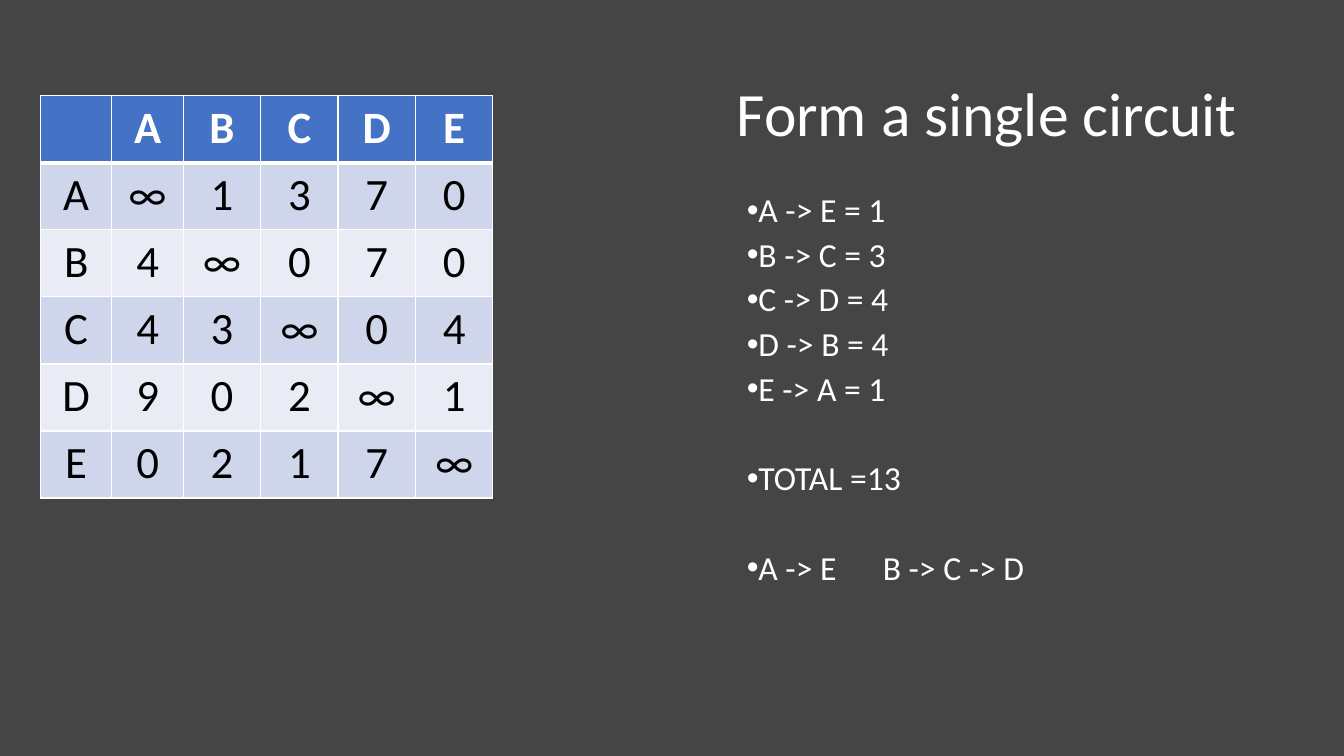
from dataclasses import dataclass

import lxml.etree
import pptx
import pptx.dml.color
import pptx.enum.text
import pptx.oxml.ns
import pptx.slide
import pptx.table
import pptx.text.text
import pptx.util

Cm = pptx.util.Cm
Pt = pptx.util.Pt


@dataclass(frozen=True)
class Theme:
    font: str = "Calibri"
    background: str = "454545"
    light: str = "FFFFFF"
    dark: str = "000000"
    header: str = "4472C4"
    bands: tuple[str, str] = ("CFD5EA", "E9EBF5")
    title_size: int = 44
    body_size: int = 24
    table_size: int = 32
    line_spacing: float = 0.9
    space_after: int = 6


@dataclass(frozen=True)
class Step:
    text: str
    space_before: int = 0
    tab_cm: float = 0


THEME = Theme()
GROUP_GAP = 32
NODES = "ABCDE"
COSTS = ("∞1370", "4∞070", "43∞04", "902∞1", "0217∞")
COLUMN_WIDTHS = (1.8, 1.8, 1.95, 1.95, 1.95, 1.95)
ROW_HEIGHT = 1.69
STEPS = (
    Step("A -> E = 1"),
    Step("B -> C = 3"),
    Step("C -> D = 4"),
    Step("D -> B = 4"),
    Step("E -> A = 1"),
    Step("TOTAL =13", GROUP_GAP),
    Step("A -> E\tB -> C -> D", GROUP_GAP, 3.43),
)


def rgb(colour: str) -> pptx.dml.color.RGBColor:
    return pptx.dml.color.RGBColor.from_string(colour)


def add_element(parent: lxml.etree._Element, tag: str, **attributes: str) -> lxml.etree._Element:
    return lxml.etree.SubElement(parent, pptx.oxml.ns.qn(tag), **attributes)


def add_span(para: pptx.text.text._Paragraph, text: str, size: int,
             colour: str = THEME.light, bold: bool = False) -> None:
    span = para.add_run()
    span.text = text
    span.font.name = THEME.font
    span.font.size = Pt(size)
    span.font.bold = bold
    span.font.color.rgb = rgb(colour)


def set_spacing(para: pptx.text.text._Paragraph, before: int = 0) -> None:
    para.line_spacing = THEME.line_spacing
    para.space_before = Pt(before)
    para.space_after = Pt(THEME.space_after)


def add_title(page: pptx.slide.Slide) -> None:
    title = page.shapes.title
    title.left, title.top = Cm(18.31), Cm(1.09)
    title.width, title.height = Cm(13.89), Cm(3.68)
    frame = title.text_frame
    frame.auto_size = pptx.enum.text.MSO_AUTO_SIZE.NONE
    frame.vertical_anchor = pptx.enum.text.MSO_ANCHOR.MIDDLE
    para = frame.paragraphs[0]
    para.alignment = pptx.enum.text.PP_ALIGN.LEFT
    set_spacing(para)
    add_span(para, "Form a single circuit", THEME.title_size)


def add_steps(page: pptx.slide.Slide) -> None:
    box = page.shapes.add_textbox(Cm(18.57), Cm(4.75), Cm(13.89), Cm(8.84))
    frame = box.text_frame
    frame.word_wrap = True
    for index, step in enumerate(STEPS):
        para = frame.add_paragraph() if index else frame.paragraphs[0]
        set_spacing(para, step.space_before)
        properties = para._p.get_or_add_pPr()
        properties.set("marL", "0")
        properties.set("indent", str(-Cm(0.64)))
        add_element(properties, "a:buFont", typeface="Arial")
        add_element(properties, "a:buChar", char="•")
        if step.tab_cm:
            tabs = add_element(properties, "a:tabLst")
            add_element(tabs, "a:tab", pos=str(Cm(step.tab_cm)), algn="l")
        add_span(para, step.text, THEME.body_size)


def add_borders(cell: pptx.table._Cell, top: int, bottom: int) -> None:
    properties = cell._tc.get_or_add_tcPr()
    for side, width in (("L", 1), ("R", 1), ("T", top), ("B", bottom)):
        line = add_element(properties, f"a:ln{side}", w=str(Pt(width)))
        fill = add_element(line, "a:solidFill")
        add_element(fill, "a:srgbClr", val=THEME.light)


def add_cost_table(page: pptx.slide.Slide) -> None:
    rows = [" " + NODES] + [node + costs for node, costs in zip(NODES, COSTS)]
    table = page.shapes.add_table(
        len(rows), len(COLUMN_WIDTHS), Cm(1.02), Cm(2.41),
        Cm(sum(COLUMN_WIDTHS)), Cm(ROW_HEIGHT * len(rows))).table
    for column, width in zip(table.columns, COLUMN_WIDTHS):
        column.width = Cm(width)
    for row_index, values in enumerate(rows):
        table.rows[row_index].height = Cm(ROW_HEIGHT)
        is_header = row_index == 0
        fill = THEME.header if is_header else THEME.bands[(row_index - 1) % 2]
        colour = THEME.light if is_header else THEME.dark
        for column_index, value in enumerate(values):
            cell = table.cell(row_index, column_index)
            add_borders(cell, 3 if row_index == 1 else 1, 3 if is_header else 1)
            cell.fill.solid()
            cell.fill.fore_color.rgb = rgb(fill)
            para = cell.text_frame.paragraphs[0]
            para.alignment = pptx.enum.text.PP_ALIGN.CENTER
            if value.strip():
                add_span(para, value, THEME.table_size, colour, is_header)


def main() -> None:
    deck = pptx.Presentation()
    deck.slide_width, deck.slide_height = Cm(33.87), Cm(19.05)
    page = deck.slides.add_slide(deck.slide_layouts.get_by_name("Title Only"))
    page.background.fill.solid()
    page.background.fill.fore_color.rgb = rgb(THEME.background)
    add_title(page)
    add_steps(page)
    add_cost_table(page)
    deck.save("out.pptx")


if __name__ == "__main__":
    main()
